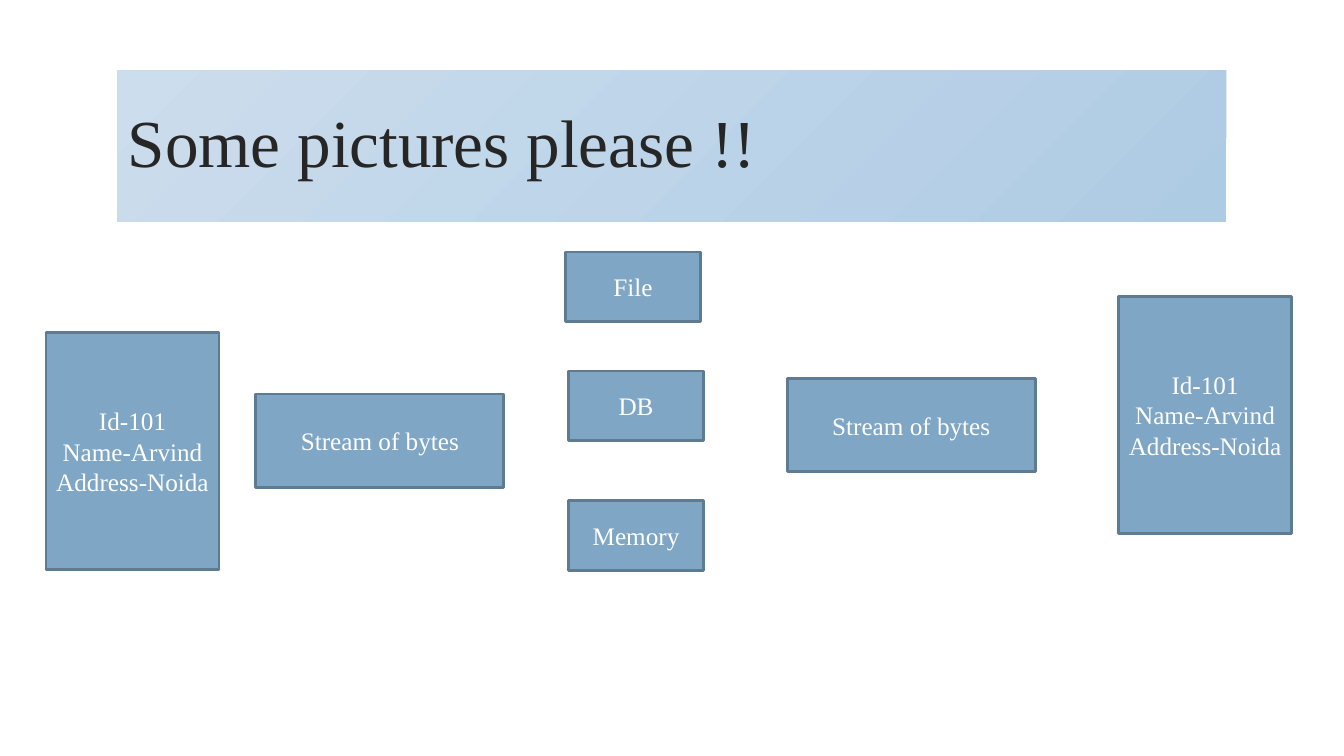
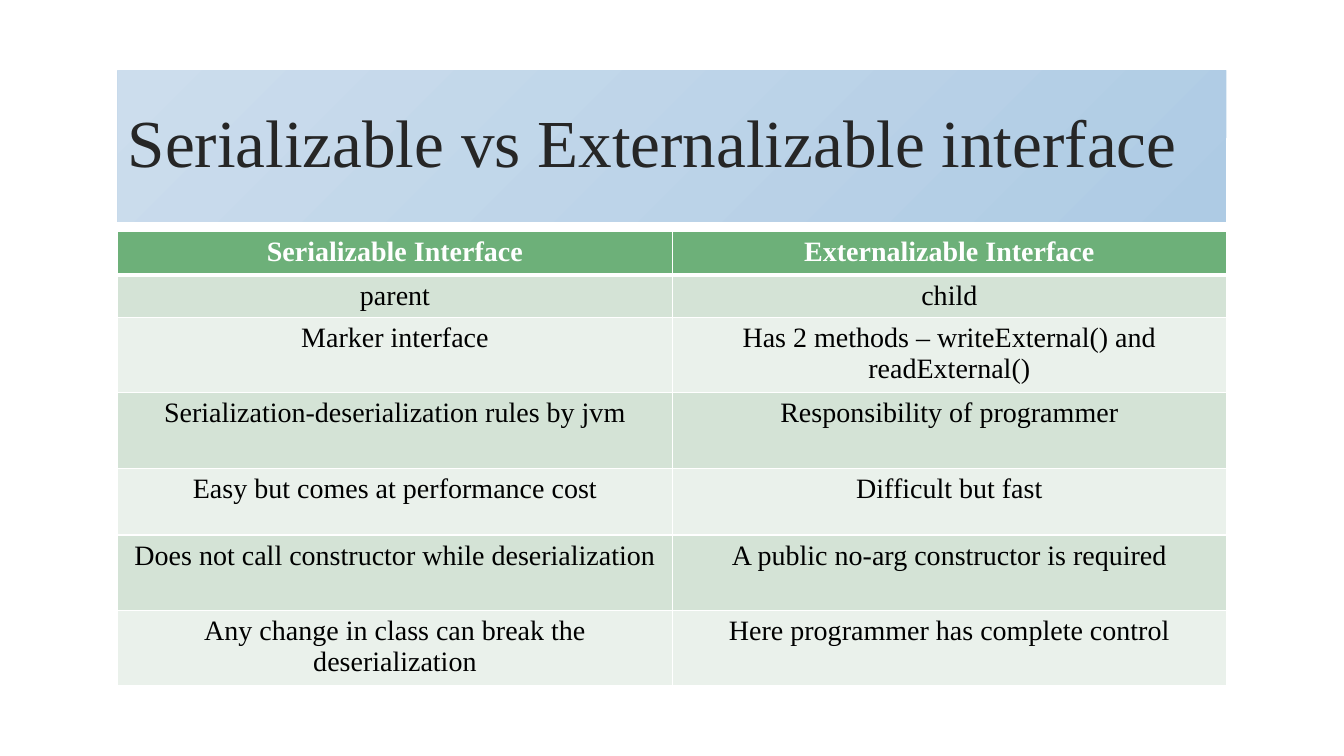
import pptx
import pptx.dml.color
import pptx.enum.shapes
import pptx.enum.text
import pptx.oxml
import pptx.oxml.ns
import pptx.util

Cm = pptx.util.Cm
Pt = pptx.util.Pt
ALIGN = pptx.enum.text.PP_ALIGN

FONT = "Times New Roman"
WHITE, BLACK, TITLE_TEXT = "FFFFFF", "000000", "262626"
BAND_DARK, BAND_LIGHT = "AECBE4", "CCDDED"
BOX_FILL, BOX_LINE = "7FA6C4", "5E7B91"
HEADER_FILL, ROW_FILLS = "6DB079", ("D4E3D6", "EAF1EB")
MARGIN, CONTENT_WIDTH = 2.97, 27.94
THIN, THICK = 0.96, 3

RECORD_SIZE, STREAM_SIZE, STORE_SIZE = (4.36, 5.97), (6.25, 2.36), (3.4, 1.75)
RECORD = "Id-101\nName-Arvind\nAddress-Noida"
STREAM = "Stream of bytes"
BOXES = [
    (RECORD, 1.16, 8.38, RECORD_SIZE),
    (STREAM, 6.45, 9.93, STREAM_SIZE),
    ("File", 14.25, 6.35, STORE_SIZE),
    ("DB", 14.33, 9.35, STORE_SIZE),
    ("Memory", 14.33, 12.62, STORE_SIZE),
    (STREAM, 19.84, 9.53, STREAM_SIZE),
    (RECORD, 28.19, 7.47, RECORD_SIZE),
]

COMPARISON = [
    ("Serializable Interface", "Externalizable Interface"),
    ("parent", "child"),
    ("Marker interface", "Has 2 methods – writeExternal() and readExternal()"),
    ("Serialization-deserialization rules by jvm", "Responsibility of programmer"),
    ("Easy but comes at performance cost", "Difficult but fast"),
    ("Does not call constructor while deserialization",
     "A public no-arg constructor is required"),
    ("Any change in class can break the deserialization",
     "Here programmer has complete control"),
]
ROW_HEIGHTS = [1.09, 1.07, 1.9, 1.9, 1.68, 1.9, 1.9]


def rgb(value):
    return pptx.dml.color.RGBColor.from_string(value)


def add_border(cell, side, width):
    """Draw a white border on one side (L, R, T or B) of a table cell."""
    cell._tc.get_or_add_tcPr().append(pptx.oxml.parse_xml(
        f'<a:ln{side} {pptx.oxml.ns.nsdecls("a")} w="{Pt(width)}"><a:solidFill>'
        f'<a:srgbClr val="{WHITE}"/></a:solidFill></a:ln{side}>'))


class Deck:
    """Holds the shared style and the slide being built."""

    def __init__(self):
        self.presentation = pptx.Presentation()
        self.presentation.slide_width = Cm(33.87)
        self.presentation.slide_height = Cm(19.05)
        self.slide = None

    def add_slide(self, title):
        layout = self.presentation.slide_layouts[6]
        self.slide = self.presentation.slides.add_slide(layout)
        band = self.rectangle(MARGIN, 1.78, CONTENT_WIDTH, 3.81)
        band.line.fill.background()
        band.fill.gradient()
        band.fill.gradient_angle = 135
        for stop, color in zip(band.fill.gradient_stops, (BAND_DARK, BAND_LIGHT)):
            stop.color.rgb = rgb(color)
        self.set_text(band.text_frame, title, 48, TITLE_TEXT, ALIGN.LEFT)
        band.text_frame.paragraphs[0].line_spacing = 0.9

    def rectangle(self, left, top, width, height):
        shape = self.slide.shapes.add_shape(
            pptx.enum.shapes.MSO_SHAPE.RECTANGLE,
            Cm(left), Cm(top), Cm(width), Cm(height))
        shape.shadow.inherit = False
        shape.text_frame.word_wrap = True
        shape.text_frame.vertical_anchor = pptx.enum.text.MSO_ANCHOR.MIDDLE
        return shape

    def set_text(self, text_frame, text, size, color, alignment=ALIGN.CENTER,
                 bold=False):
        text_frame.text = text
        for paragraph in text_frame.paragraphs:
            paragraph.alignment = alignment
            for run in paragraph.runs:
                run.font.name = FONT
                run.font.size = Pt(size)
                run.font.bold = bold
                run.font.color.rgb = rgb(color)

    def box(self, text, left, top, size):
        shape = self.rectangle(left, top, *size)
        shape.fill.solid()
        shape.fill.fore_color.rgb = rgb(BOX_FILL)
        shape.line.color.rgb = rgb(BOX_LINE)
        shape.line.width = Pt(2)
        self.set_text(shape.text_frame, text, 18, WHITE)

    def table(self, rows, heights, top):
        columns = len(rows[0])
        table = self.slide.shapes.add_table(
            len(rows), columns, Cm(MARGIN), Cm(top),
            Cm(CONTENT_WIDTH), Cm(sum(heights))).table
        for column in table.columns:
            column.width = Cm(CONTENT_WIDTH / columns)
        for index, (texts, height) in enumerate(zip(rows, heights)):
            table.rows[index].height = Cm(height)
            header = index == 0
            fill = HEADER_FILL if header else ROW_FILLS[(index - 1) % 2]
            borders = {"L": THIN, "R": THIN,
                       "T": THICK if index == 1 else THIN,
                       "B": THICK if header else THIN}
            for cell, text in zip(table.rows[index].cells, texts):
                for side, width in borders.items():
                    add_border(cell, side, width)
                cell.fill.solid()
                cell.fill.fore_color.rgb = rgb(fill)
                self.set_text(cell.text_frame, text, 20,
                              WHITE if header else BLACK, bold=header)


def main():
    deck = Deck()
    deck.add_slide("Some pictures please !!")
    for box in BOXES:
        deck.box(*box)
    deck.add_slide("Serializable vs Externalizable interface")
    deck.table(COMPARISON, ROW_HEIGHTS, 5.84)
    deck.presentation.save("out.pptx")


if __name__ == "__main__":
    main()
